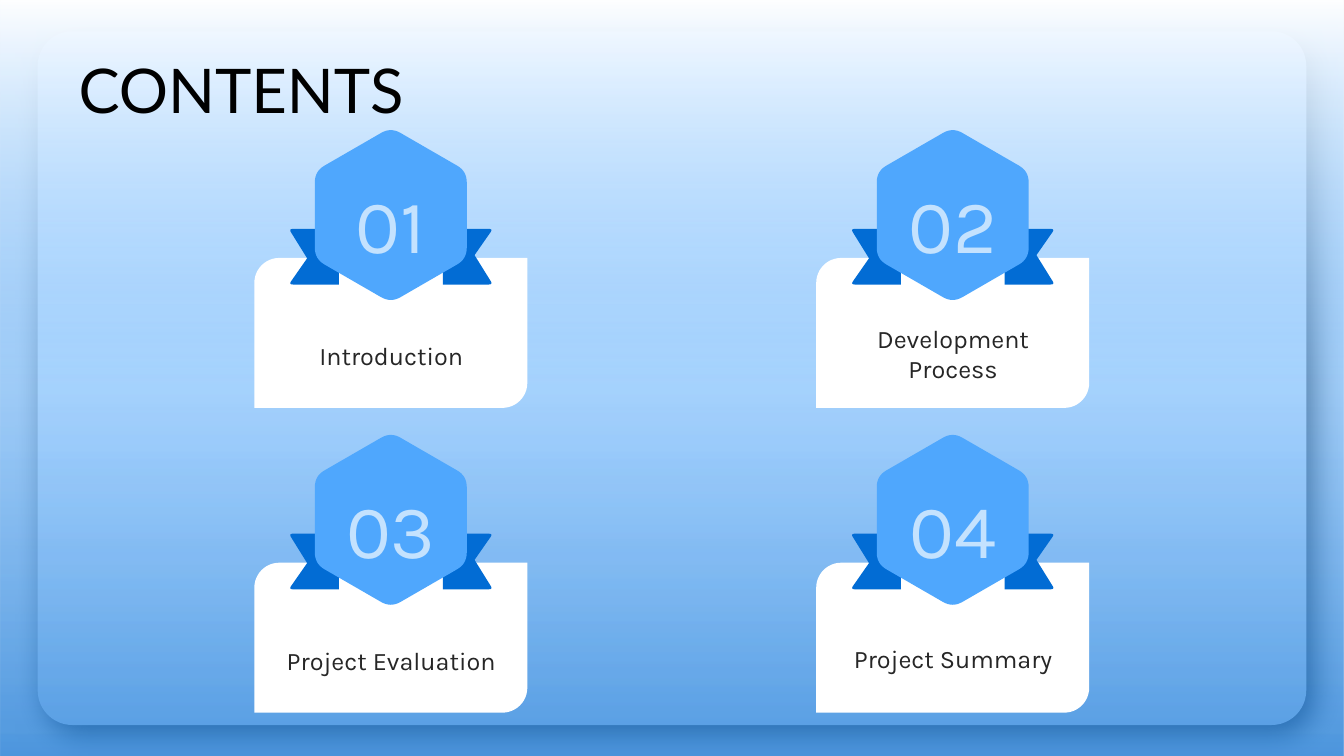
import math

import lxml.etree
import pptx
import pptx.dml.color
import pptx.enum.shapes
import pptx.enum.text
import pptx.oxml
import pptx.util

Cm = pptx.util.Cm
Kind = pptx.enum.shapes.MSO_SHAPE
Align = pptx.enum.text.PP_ALIGN
Anchor = pptx.enum.text.MSO_ANCHOR
NS = 'xmlns:a="http://schemas.openxmlformats.org/drawingml/2006/main"'


class Theme:
    back = "F2F2F2"
    white = "FFFFFF"
    deep = "026CD4"
    blue = "4FA7FD"
    pale = "C4E2FE"
    ink = "262626"
    black = "000000"
    head = "Lato"
    body = "Karla"
    title = 44
    number = 54
    label = 18


def paint(shape, color):
    """Give a shape a plain fill with no line and no shadow."""
    shape.shadow.inherit = False
    shape.line.fill.background()
    shape.fill.solid()
    shape.fill.fore_color.rgb = pptx.dml.color.RGBColor.from_string(color)
    return shape


def write(text, box, font, size, color, align, space):
    """Add a text box; box is left, top, width, height in cm."""
    frame = slide.shapes.add_textbox(*map(Cm, box)).text_frame
    frame.word_wrap = True
    para = frame.paragraphs[0]
    para.text = text
    para.alignment = align
    para.line_spacing = space
    para.font.name = font
    para.font.size = pptx.util.Pt(size)
    para.font.color.rgb = pptx.dml.color.RGBColor.from_string(color)
    return frame


deck = pptx.Presentation()
deck.slide_width, deck.slide_height = Cm(33.87), Cm(19.05)
slide = deck.slides.add_slide(deck.slide_layouts[6])
shapes = slide.shapes
full = (0, 0, deck.slide_width, deck.slide_height)

# Backdrop, raised panel and gradient veil
paint(shapes.add_shape(Kind.RECTANGLE, *full), Theme.back)

panel = shapes.add_shape(Kind.ROUNDED_RECTANGLE, Cm(0.95), Cm(0.79), Cm(31.97), Cm(17.48))
panel.adjustments[0] = 0.05
paint(panel, Theme.white)
panel.element.spPr.remove(panel.element.spPr[-1])
panel.element.spPr.append(pptx.oxml.parse_xml(
    f'<a:effectLst {NS}><a:outerShdw blurRad="{pptx.util.Pt(22)}" dist="{pptx.util.Pt(9)}" '
    f'dir="2700000" algn="tl" rotWithShape="0"><a:srgbClr val="{Theme.ink}">'
    '<a:alpha val="72000"/></a:srgbClr></a:outerShdw></a:effectLst>'))

veil = paint(shapes.add_shape(Kind.RECTANGLE, *full), Theme.white)
stops = "".join(
    f'<a:gs pos="{pos}000"><a:srgbClr val="{color}"><a:alpha val="{alpha}000"/></a:srgbClr></a:gs>'
    for pos, color, alpha in [(0, Theme.deep, 68), (49, Theme.blue, 50), (100, Theme.white, 100)])
solid = veil.element.spPr.find("{*}solidFill")
veil.element.spPr.replace(solid, pptx.oxml.parse_xml(
    f'<a:gradFill {NS} rotWithShape="1"><a:gsLst>{stops}</a:gsLst>'
    '<a:lin ang="16200000" scaled="0"/></a:gradFill>'))

# Badge outlines around their centre: x, y and how far each corner is cut, in cm
hexagon = [(2.21 * math.sin(math.radians(a)), -2.21 * math.cos(math.radians(a)), 0.28)
           for a in range(0, 360, 60)]
ribbon = [(-1.31, 1.75, 0), (-2.57, 1.75, 0.1), (-2.11, 1.09, 0),
          (-2.57, 0.35, 0.1), (-1.31, 0.35, 0)]
# The right ribbon is the left one turned half round
turned = [(-x, 2.1 - y, cut) for x, y, cut in ribbon]
badge = [(ribbon, Theme.deep), (turned, Theme.deep), (hexagon, Theme.blue)]

topics = ["Introduction", "Development Process", "Project Evaluation", "Project Summary"]
for index, topic in enumerate(topics):
    row, col = divmod(index, 2)
    left, top = 9.85 + 14.16 * col, 5.42 + 7.68 * row

    paint(shapes.add_shape(Kind.ROUND_2_DIAG_RECTANGLE, Cm(left - 3.44), Cm(top + 1.08),
                           Cm(6.88), Cm(3.78)), Theme.white)

    for corners, color in badge:
        points = []
        for i, (x, y, cut) in enumerate(corners):
            ends = []
            for u, v, _ in (corners[i - 1], corners[(i + 1) % len(corners)]):
                part = cut / math.dist((x, y), (u, v))
                ends.append((x + (u - x) * part, y + (v - y) * part))
            (ax, ay), (bx, by) = ends
            for t in [k / 8 for k in range(9)] if cut else [0]:
                p, q, r = (1 - t) ** 2, 2 * t * (1 - t), t * t
                points.append((Cm(left + p * ax + q * x + r * bx),
                               Cm(top + p * ay + q * y + r * by)))
        path = shapes.build_freeform(*points[0])
        path.add_line_segments(points[1:], close=True)
        paint(path.convert_to_shape(), color)

    write(f"{index + 1:02}", (left - 1.6, top - 1.28, 3.2, 2.57),
          Theme.body, Theme.number, Theme.pale, Align.CENTER, 1.1)
    label = write(topic, (left - 3, top + 2.35, 6.02, 2.29),
                  Theme.body, Theme.label, Theme.ink, Align.CENTER, 1.0 if col else 1.1)
    label.vertical_anchor = Anchor.MIDDLE
    label.margin_left = label.margin_right = label.margin_top = label.margin_bottom = 0

write("CONTENTS", (1.73, 0.99, 16.26, 2.13),
      Theme.head, Theme.title, Theme.black, Align.LEFT, 1.1)

deck.save("out.pptx")
